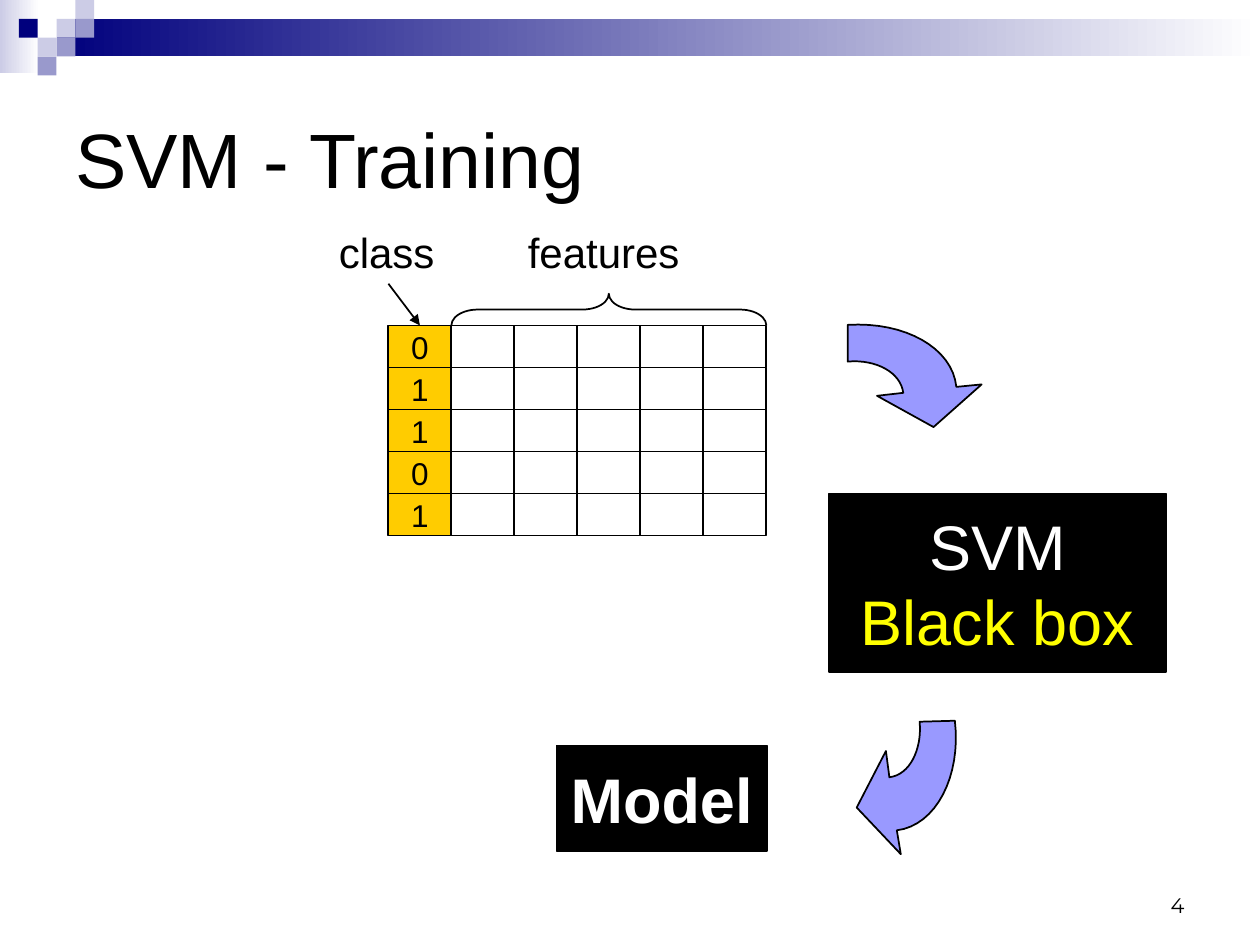
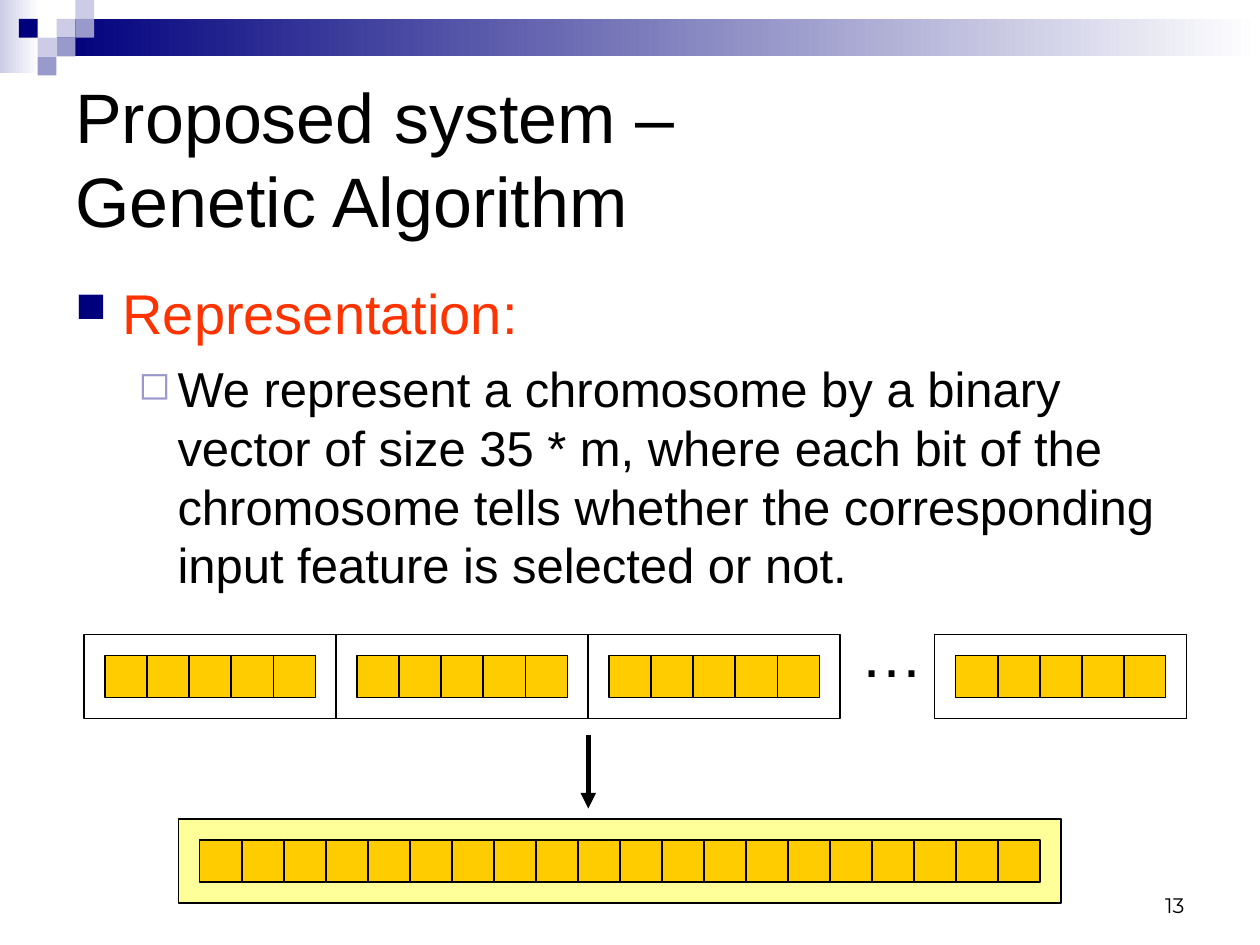
"""Build two slides on SVM training and the genetic algorithm's representation."""
from lxml import etree
from pptx import Presentation
from pptx.dml.color import RGBColor
from pptx.enum.shapes import MSO_CONNECTOR, MSO_SHAPE
from pptx.enum.text import MSO_ANCHOR, PP_ALIGN
from pptx.oxml.ns import qn
from pptx.util import Cm, Pt

RECTANGLE, BRACE = MSO_SHAPE.RECTANGLE, MSO_SHAPE.RIGHT_BRACE
STRAIGHT = MSO_CONNECTOR.STRAIGHT
TOP, MIDDLE, BOTTOM = MSO_ANCHOR.TOP, MSO_ANCHOR.MIDDLE, MSO_ANCHOR.BOTTOM
LEFT, CENTER, RIGHT = PP_ALIGN.LEFT, PP_ALIGN.CENTER, PP_ALIGN.RIGHT

COLORS = {
    "white": "FFFFFF", "black": "000000", "navy": "00007D", "pale": "CCCCE6",
    "mid": "9999CC", "gold": "FFCC00", "cream": "FFFF99", "arrow": "9999FF",
    "yellow": "FFFF00", "red": "FF3300",
}
FONT, NUMBER_FONT = "Arial", "Montserrat"

TILE = 0.38
TILES = [(3, 1, "pale"), (4, 0, "pale"), (4, 1, "mid"), (2, 2, "pale"),
         (1, 1, "navy"), (3, 2, "mid"), (2, 3, "mid")]
GRADIENTS = [((0, 0, 0.79, 1.47), "pale"),
             ((3 * TILE, TILE, 25.4 - 3 * TILE, 2 * TILE), "navy")]

TRAINING = {
    "title": (["SVM - Training"], 44, "4"),
    "classes": ["0", "1", "1", "0", "1"],
    "features": 5,
    "labels": [("class", (6.58, 4.45, 2.44, 1.27)),
               ("features", (10.39, 4.45, 3.56, 1.27))],
    "boxes": [
        ((16.72, 9.95, 6.78, 3.6), [("SVM", "white"), ("Black box", "yellow")], False),
        ((11.22, 15.03, 4.24, 2.12), [("Model", "white")], True),
    ],
    "arrows": [
        {"inner": [(18.21, 7.92), (18.16, 7.52), (17.68, 7.24), (17.09, 7.29)],
         "outer": [(17.09, 6.55), (18.24, 6.48), (19.2, 7.01), (19.28, 7.8)],
         "head": [(19.79, 7.75), (18.82, 8.61), (17.68, 7.98)]},
        {"inner": [(17.93, 15.67), (18.34, 15.62), (18.59, 15.11), (18.54, 14.55)],
         "outer": [(19.25, 14.53), (19.38, 15.65), (18.87, 16.64), (18.08, 16.74)],
         "head": [(18.16, 17.22), (17.27, 16.28), (17.86, 15.14)]},
    ],
}
TABLE_LEFT, TABLE_TOP, CELL_WIDTH, CELL = 7.83, 6.56, 1.27, 0.847

GENETIC = {
    "title": (["Proposed system –", "Genetic Algorithm"], 40, "13"),
    "body": [
        {"text": "Representation:", "size": 32, "color": "red", "before": 0,
         "bullet": "■", "bullet_color": "navy", "percent": 75,
         "margin": 0.95, "hanging": 0.95},
        {"text": "We represent a chromosome by a binary vector of size 35 * m, "
                 "where each bit of the chromosome tells whether the "
                 "corresponding input feature is selected or not.",
         "size": 28, "color": "black", "before": 7,
         "bullet": "◻", "bullet_color": "mid", "percent": 80,
         "margin": 2.06, "hanging": 0.79},
    ],
    "group_lefts": [1.7, 6.78, 11.86, 18.84],
    "genes": 5,
    "chromosome_genes": 20,
}
GROUP_TOP, CHROMOSOME_LEFT, CHROMOSOME_TOP = 12.79, 3.6, 16.51


def rgb(name):
    return RGBColor.from_string(COLORS[name])


def add_box(page, place, fill=None, line="black", kind=RECTANGLE):
    box = page.shapes.add_shape(kind, *map(Cm, place))
    paint(box, fill, line)
    return box


def paint(shape, fill, line):
    shape.shadow.inherit = False
    if fill:
        shape.fill.solid()
        shape.fill.fore_color.rgb = rgb(fill)
    else:
        shape.fill.background()
    if line:
        shape.line.color.rgb = rgb(line)
        shape.line.width = Pt(1)
    else:
        shape.line.fill.background()


def add_span(para, text, size, color="black", bold=False, font=FONT):
    span = para.add_run()
    span.text = text
    span.font.size = Pt(size)
    span.font.name = font
    span.font.bold = bold
    span.font.color.rgb = rgb(color)


def write_lines(box, lines, size, align=LEFT, anchor=TOP, wrap=False,
                bold=False, font=FONT):
    frame = box.text_frame
    frame.word_wrap = wrap
    frame.vertical_anchor = anchor
    para = frame.paragraphs[0]
    para.alignment = align
    for index, (text, color) in enumerate(lines):
        if index:
            para.add_line_break()
        add_span(para, text, size, color, bold, font)


def add_text(page, place, lines, size, **style):
    box = page.shapes.add_textbox(*map(Cm, place))
    write_lines(box, [(text, "black") for text in lines], size, **style)


def add_bullet(para, item):
    para.space_before = Pt(item["before"])
    props = para._p.get_or_add_pPr()
    props.set("marL", str(Cm(item["margin"])))
    props.set("indent", str(-Cm(item["hanging"])))
    color = etree.SubElement(props, qn("a:buClr"))
    etree.SubElement(color, qn("a:srgbClr"), val=COLORS[item["bullet_color"]])
    etree.SubElement(props, qn("a:buSzPct"), val=str(item["percent"] * 1000))
    etree.SubElement(props, qn("a:buChar"), char=item["bullet"])


def add_arrow_line(page, start, end, width):
    line = page.shapes.add_connector(STRAIGHT, *map(Cm, start + end))
    line.line.color.rgb = rgb("black")
    line.line.width = Pt(width)
    etree.SubElement(line.line._get_or_add_ln(), qn("a:tailEnd"), type="triangle")
    etree.SubElement(line._element.spPr, qn("a:effectLst"))


def curve_points(controls, steps=16):
    points = []
    for step in range(steps + 1):
        t = step / steps
        weights = ((1 - t) ** 3, 3 * t * (1 - t) ** 2, 3 * t ** 2 * (1 - t), t ** 3)
        points.append(tuple(sum(w * c[axis] for w, c in zip(weights, controls))
                            for axis in (0, 1)))
    return points


def add_curved_arrow(page, arrow):
    outline = curve_points(arrow["inner"]) + curve_points(arrow["outer"]) + arrow["head"]
    start, *rest = [(Cm(x), Cm(y)) for x, y in outline]
    builder = page.shapes.build_freeform(*start)
    builder.add_line_segments(rest, close=True)
    paint(builder.convert_to_shape(), "arrow", "black")


def add_genes(page, left, top, count):
    for index in range(count):
        add_box(page, (left + index * CELL, top, CELL, CELL), "gold")


def add_page(deck, title, size, number):
    page = deck.slides.add_slide(deck.slide_layouts[6])
    for place, color in GRADIENTS:
        band = add_box(page, place, line=None)
        band.fill.gradient()
        band.fill.gradient_angle = 180
        for stop, name in zip(band.fill.gradient_stops, ("white", color)):
            stop.color.rgb = rgb(name)
    for column, row, color in TILES:
        add_box(page, (column * TILE, row * TILE, TILE, TILE), color, None)
    add_text(page, (1.27, 1.27, 22.86, 3.81), title, size, anchor=MIDDLE, wrap=True)
    add_text(page, (18.2, 17.36, 5.93, 1.27), [number], 12, align=RIGHT,
             anchor=BOTTOM, wrap=True, font=NUMBER_FONT)
    return page


def build_training(deck):
    page = add_page(deck, *TRAINING["title"])
    for row, value in enumerate(TRAINING["classes"]):
        for column in range(TRAINING["features"] + 1):
            place = (TABLE_LEFT + column * CELL_WIDTH, TABLE_TOP + row * CELL,
                     CELL_WIDTH, CELL)
            cell = add_box(page, place, None if column else "gold")
            if not column:
                write_lines(cell, [(value, "black")], 18, CENTER, MIDDLE)
    for text, place in TRAINING["labels"]:
        add_text(page, place, [text], 24)
    add_arrow_line(page, (TABLE_LEFT, 5.72),
                   (TABLE_LEFT + CELL_WIDTH / 2, TABLE_TOP), 1)
    span_width, depth = TRAINING["features"] * CELL_WIDTH, 0.64
    center_x = TABLE_LEFT + CELL_WIDTH + span_width / 2
    center_y = TABLE_TOP - depth / 2
    brace = add_box(page, (center_x - depth / 2, center_y - span_width / 2,
                           depth, span_width), kind=BRACE)
    brace.adjustments[0] = 0.83
    brace.rotation = 270
    for arrow in TRAINING["arrows"]:
        add_curved_arrow(page, arrow)
    for place, lines, bold in TRAINING["boxes"]:
        write_lines(add_box(page, place, "black"), lines, 36, CENTER, MIDDLE, bold=bold)


def build_genetic(deck):
    page = add_page(deck, *GENETIC["title"])
    body = page.shapes.add_textbox(Cm(1.27), Cm(5.5), Cm(22.86), Cm(10.8))
    frame = body.text_frame
    frame.word_wrap = True
    for index, item in enumerate(GENETIC["body"]):
        para = frame.add_paragraph() if index else frame.paragraphs[0]
        add_bullet(para, item)
        add_span(para, item["text"], item["size"], item["color"])
    inset = CELL / 2
    for left in GENETIC["group_lefts"]:
        add_box(page, (left, GROUP_TOP, (GENETIC["genes"] + 1) * CELL, 2 * CELL))
        add_genes(page, left + inset, GROUP_TOP + inset, GENETIC["genes"])
    add_text(page, (17.1, 12.27, 1.78, 1.78), ["…"], 36)
    add_arrow_line(page, (11.86, 14.82), (11.86, 16.3), 3)
    count = GENETIC["chromosome_genes"]
    add_box(page, (CHROMOSOME_LEFT, CHROMOSOME_TOP, (count + 1) * CELL, 2 * CELL), "cream")
    add_genes(page, CHROMOSOME_LEFT + inset, CHROMOSOME_TOP + inset, count)


def main():
    deck = Presentation()
    deck.slide_width, deck.slide_height = Cm(25.4), Cm(19.05)
    build_training(deck)
    build_genetic(deck)
    deck.save("out.pptx")


if __name__ == "__main__":
    main()
